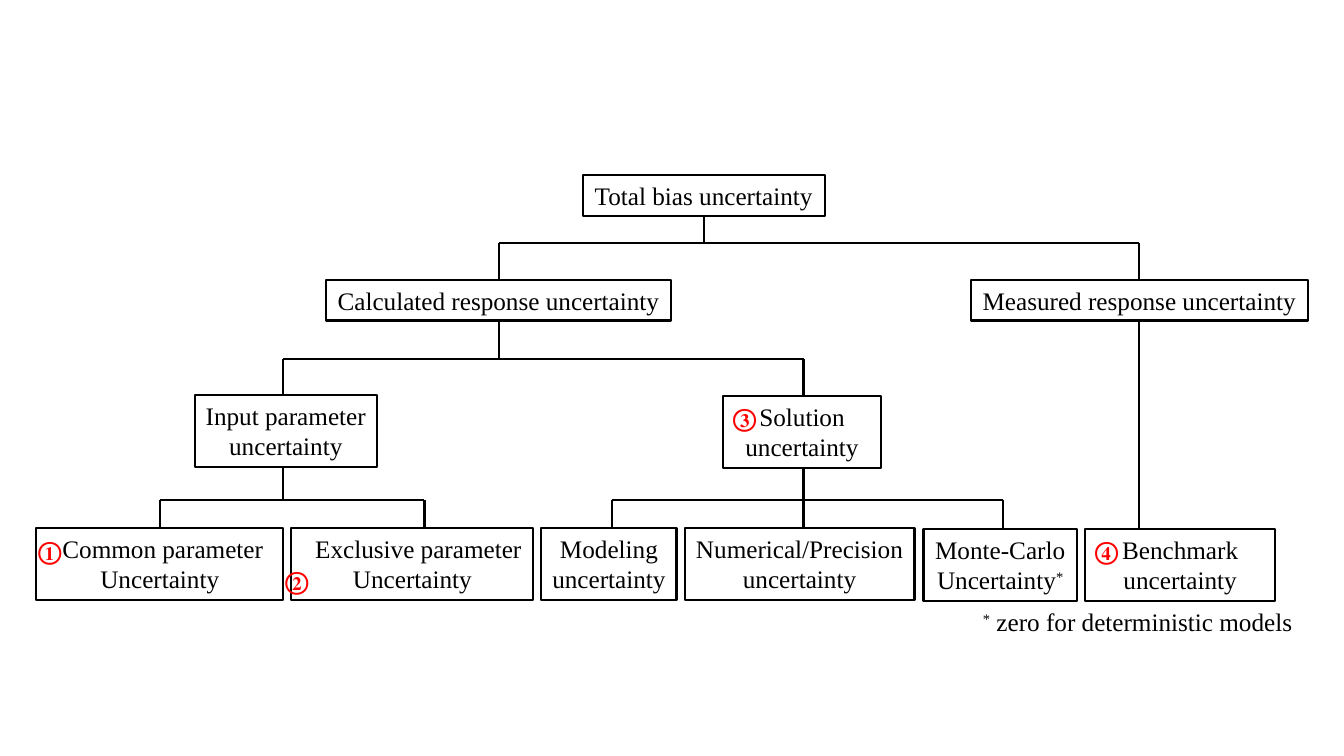
"""Draw a tree of the uncertainties that make up the total bias uncertainty."""
from dataclasses import dataclass

from lxml import etree
from pptx import Presentation
from pptx.dml.color import RGBColor
from pptx.enum.shapes import MSO_CONNECTOR, MSO_SHAPE
from pptx.enum.text import MSO_ANCHOR, MSO_AUTO_SIZE, PP_ALIGN
from pptx.oxml.ns import qn
from pptx.shapes.autoshape import Shape
from pptx.shapes.connector import Connector
from pptx.slide import Slide
from pptx.text.text import TextFrame
from pptx.util import Inches, Pt

RECT = MSO_SHAPE.RECTANGLE
STRAIGHT = MSO_CONNECTOR.STRAIGHT
TOP = MSO_ANCHOR.TOP
NO_FIT = MSO_AUTO_SIZE.NONE
LEFT, CENTER = PP_ALIGN.LEFT, PP_ALIGN.CENTER
TOP_SITE, BOTTOM_SITE = 0, 2


@dataclass(frozen=True)
class Theme:
    """Colours, font and sizes of the slide."""
    ink: RGBColor = RGBColor(0, 0, 0)
    mark: RGBColor = RGBColor(255, 0, 0)
    font: str = "Times New Roman"
    size: float = 18
    line: float = 1.5


@dataclass(frozen=True)
class Box:
    """A node; trunk is the x of its lines when they miss its middle."""
    lines: tuple[str, ...]
    x: float
    y: float
    w: float
    h: float = 0.71
    trunk: float | None = None
    indent: float = 0

    @property
    def line_x(self) -> float:
        """Return the x at which lines meet this box."""
        return self.x + self.w / 2 if self.trunk is None else self.trunk


@dataclass(frozen=True)
class Branch:
    """A parent joined to its children through a horizontal bar."""
    parent: str
    bar_y: float
    children: tuple[str, ...]


@dataclass(frozen=True)
class Label:
    """Free text on the slide."""
    text: str
    x: float
    y: float
    w: float = 0.43
    color: RGBColor = Theme.mark
    bold: bool = True


THEME = Theme()
ROW_H = 0.4
LEAF_Y = 5.24
BOXES = {
    "total": Box(("Total bias uncertainty",), 5.78, 1.74, 2.4, ROW_H),
    "calculated": Box(("Calculated response uncertainty",), 3.23, 2.78, 3.43, ROW_H),
    "measured": Box(("Measured response uncertainty",), 9.63, 2.78, 3.34, ROW_H),
    "input": Box(("Input parameter", "uncertainty"), 1.93, 3.92, 1.81, trunk=2.81),
    "solution": Box(("Solution", "uncertainty"), 7.17, 3.93, 1.57, trunk=7.97),
    "common": Box(("Common parameter", "Uncertainty"), 0.36, LEAF_Y, 2.45, indent=0.06),
    "exclusive": Box(("Exclusive parameter", "Uncertainty"), 2.89, LEAF_Y, 2.4,
                     trunk=4.21, indent=0.12),
    "modeling": Box(("Modeling", "uncertainty"), 5.37, LEAF_Y, 1.34, trunk=6.07),
    "numerical": Box(("Numerical/Precision", "uncertainty"), 6.79, LEAF_Y, 2.28, trunk=7.97),
    "monte_carlo": Box(("Monte-Carlo", "Uncertainty*"), 9.16, 5.25, 1.52, trunk=9.95),
    "benchmark": Box(("Benchmark", "uncertainty"), 10.76, 5.25, 1.89, trunk=11.3),
}
BRANCHES = (
    Branch("total", 2.41, ("calculated", "measured")),
    Branch("calculated", 3.56, ("input", "solution")),
    Branch("input", 4.96, ("common", "exclusive")),
    Branch("solution", 4.96, ("modeling", "numerical", "monte_carlo")),
)
LABELS = (
    Label("①", 0.28, 5.26),
    Label("②", 2.73, 5.56),
    Label("③", 7.17, 3.94),
    Label("④", 10.76, 5.26),
    Label("* zero for deterministic models", 9.65, 5.97, 3.33, THEME.ink, False),
)


def write_text(tf: TextFrame, lines: tuple[str, ...], *, color: RGBColor = THEME.ink,
               bold: bool = False, align: PP_ALIGN = LEFT, indent: float = 0) -> None:
    """Write one paragraph per line, raising asterisks and indenting the first line."""
    tf.word_wrap = False
    tf.auto_size = NO_FIT
    tf.vertical_anchor = TOP
    for i, line in enumerate(lines):
        p = tf.add_paragraph() if i else tf.paragraphs[0]
        p.alignment = align
        if indent and i == 0:
            p._p.get_or_add_pPr().set("marL", str(Inches(indent)))
        for text in filter(None, line.partition("*")):
            r = p.add_run()
            r.text = text
            r.font.name = THEME.font
            r.font.size = Pt(THEME.size)
            r.font.bold = bold
            r.font.color.rgb = color
            if text == "*":
                r._r.get_or_add_rPr().set("baseline", "30000")


def add_box(s: Slide, box: Box) -> Shape:
    """Draw an outlined box with centred text."""
    sp = s.shapes.add_shape(RECT, Inches(box.x), Inches(box.y), Inches(box.w), Inches(box.h))
    sp.shadow.inherit = False
    sp.fill.background()
    sp.line.color.rgb = THEME.ink
    sp.line.width = Pt(THEME.line)
    write_text(sp.text_frame, box.lines, align=CENTER, indent=box.indent)
    return sp


def add_line(s: Slide, x1: float, y1: float, x2: float, y2: float) -> Connector:
    """Draw a straight line without a shadow."""
    c = s.shapes.add_connector(STRAIGHT, Inches(x1), Inches(y1), Inches(x2), Inches(y2))
    c.line.color.rgb = THEME.ink
    c.line.width = Pt(THEME.line)
    etree.SubElement(c._element.spPr, qn("a:effectLst"))
    return c


def add_stem(s: Slide, box: Box, sp: Shape, y: float) -> None:
    """Draw the line from the bottom of a box down to y."""
    c = add_line(s, box.line_x, box.y + box.h, box.line_x, y)
    if box.trunk is None:
        c.begin_connect(sp, BOTTOM_SITE)


def add_drop(s: Slide, box: Box, sp: Shape, y: float) -> None:
    """Draw the line from y down to the top of a box."""
    c = add_line(s, box.line_x, y, box.line_x, box.y)
    if box.trunk is None:
        c.end_connect(sp, TOP_SITE)


def add_branch(s: Slide, branch: Branch, shapes: dict[str, Shape]) -> None:
    """Draw the stem, bar and drops of a branch."""
    y = branch.bar_y
    add_stem(s, BOXES[branch.parent], shapes[branch.parent], y)
    add_line(s, BOXES[branch.children[0]].line_x, y, BOXES[branch.children[-1]].line_x, y)
    for name in branch.children:
        add_drop(s, BOXES[name], shapes[name], y)


def add_label(s: Slide, label: Label) -> None:
    """Draw a free text label."""
    sp = s.shapes.add_textbox(Inches(label.x), Inches(label.y), Inches(label.w), Inches(ROW_H))
    write_text(sp.text_frame, (label.text,), color=label.color, bold=label.bold)


def main() -> None:
    """Build and save the slide."""
    prs = Presentation()
    prs.slide_width, prs.slide_height = Inches(13.33), Inches(7.5)
    s = prs.slides.add_slide(prs.slide_layouts[6])
    shapes = {name: add_box(s, box) for name, box in BOXES.items()}
    for branch in BRANCHES:
        add_branch(s, branch, shapes)
    add_stem(s, BOXES["measured"], shapes["measured"], BOXES["benchmark"].y)
    for label in LABELS:
        add_label(s, label)
    prs.save("out.pptx")


if __name__ == "__main__":
    main()
